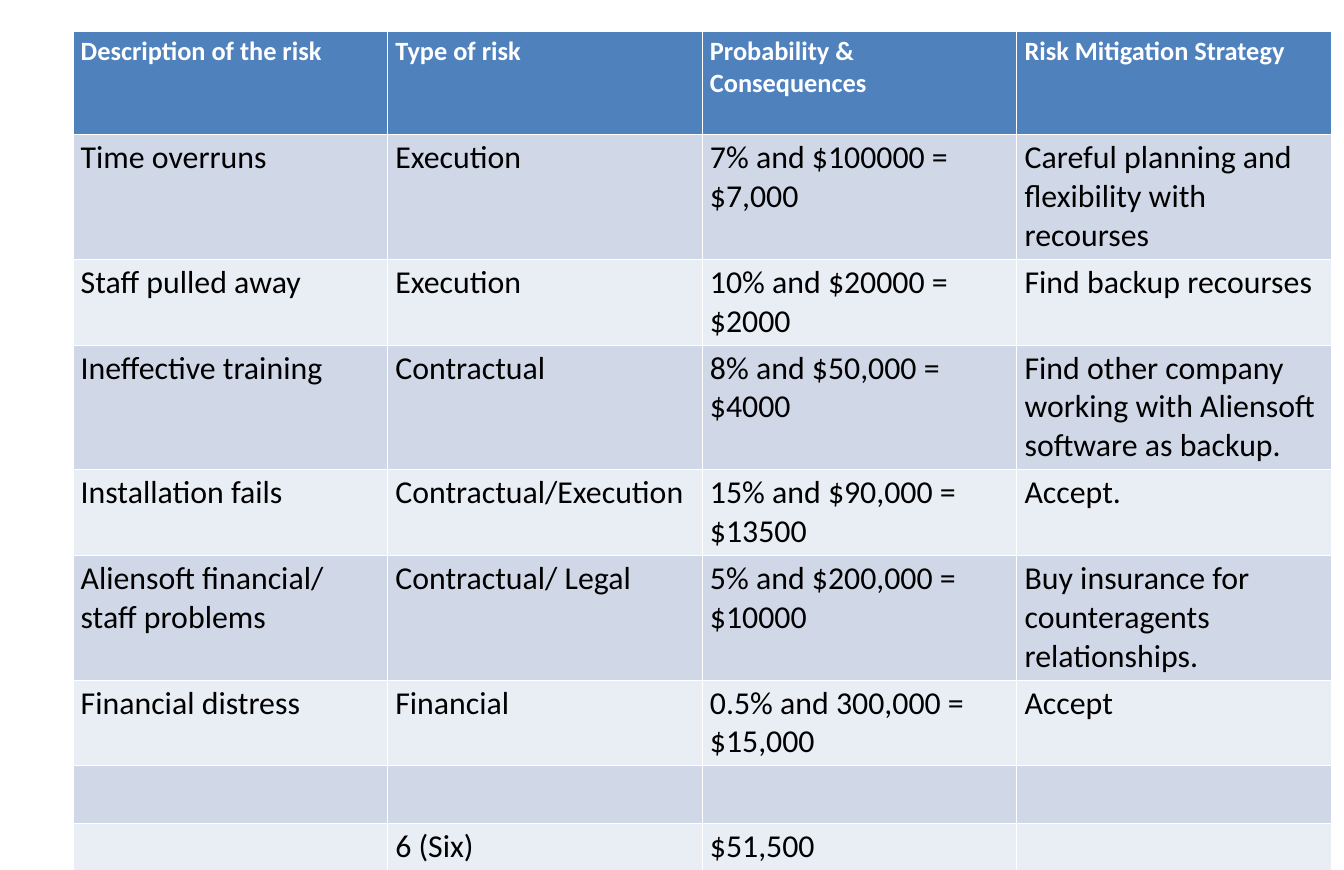
"""Build the risk assessment table slide."""
from typing import NamedTuple

import lxml.etree
import pptx
import pptx.dml.color
import pptx.oxml.ns
import pptx.table
import pptx.util

Inches = pptx.util.Inches
WHITE = pptx.dml.color.RGBColor(0xFF, 0xFF, 0xFF)
BLACK = pptx.dml.color.RGBColor(0x00, 0x00, 0x00)
BLUE = pptx.dml.color.RGBColor(0x4F, 0x81, 0xBD)
DARK_BAND = pptx.dml.color.RGBColor(0xD0, 0xD8, 0xE8)
LIGHT_BAND = pptx.dml.color.RGBColor(0xE9, 0xED, 0xF4)
FONT = "Calibri"
COLUMN_WIDTH = 3.98
THIN, THICK = 0.45, 1.47


class Risk(NamedTuple):
    height: float
    description: str = ""
    kind: str = ""
    probability: str = ""
    strategy: str = ""


class CellStyle(NamedTuple):
    fill: pptx.dml.color.RGBColor
    color: pptx.dml.color.RGBColor
    size: int
    bold: bool
    top: float = THIN
    bottom: float = THIN


RISKS = [
    Risk(1.3, "Description of the risk", "Type of risk",
         "Probability & Consequences", "Risk Mitigation Strategy"),
    Risk(1.55, "Time overruns", "Execution", "7% and $100000 = $7,000",
         "Careful planning and flexibility with recourses"),
    Risk(1.07, "Staff pulled away", "Execution", "10% and $20000 = $2000",
         "Find backup recourses"),
    Risk(1.55, "Ineffective training", "Contractual", "8% and $50,000 = $4000",
         "Find other company working with Aliensoft software as backup."),
    Risk(1.07, "Installation fails", "Contractual/Execution",
         "15% and $90,000 = $13500", "Accept."),
    Risk(1.55, "Aliensoft financial/ staff problems", "Contractual/ Legal",
         "5% and $200,000 = $10000",
         "Buy insurance for counteragents relationships."),
    Risk(1.07, "Financial distress", "Financial",
         "0.5% and 300,000 =\n$15,000", "Accept"),
    Risk(0.73),
    Risk(0.58, kind="6 (Six)", probability="$51,500"),
]


def row_style(row: int) -> CellStyle:
    if row == 0:
        return CellStyle(BLUE, WHITE, 24, True, bottom=THICK)
    band = DARK_BAND if row % 2 else LIGHT_BAND
    return CellStyle(band, BLACK, 29, False, top=THICK if row == 1 else THIN)


def add_borders(cell: pptx.table._Cell, style: CellStyle) -> None:
    qn = pptx.oxml.ns.qn
    tc_pr = cell._tc.get_or_add_tcPr()
    widths = {"a:lnL": THIN, "a:lnR": THIN, "a:lnT": style.top, "a:lnB": style.bottom}
    for i, (tag, width) in enumerate(widths.items()):
        ln = lxml.etree.Element(qn(tag), w=str(int(pptx.util.Pt(width))))
        fill = lxml.etree.SubElement(ln, qn("a:solidFill"))
        lxml.etree.SubElement(fill, qn("a:srgbClr"), val=str(WHITE))
        tc_pr.insert(i, ln)


def format_cell(cell: pptx.table._Cell, text: str, style: CellStyle) -> None:
    cell.fill.solid()
    cell.fill.fore_color.rgb = style.fill
    add_borders(cell, style)
    if not text:
        return
    cell.text_frame.text = text
    for p in cell.text_frame.paragraphs:
        for r in p.runs:
            r.font.name = FONT
            r.font.size = pptx.util.Pt(style.size)
            r.font.bold = style.bold
            r.font.color.rgb = style.color


def main() -> None:
    prs = pptx.Presentation()
    prs.slide_width, prs.slide_height = Inches(17), Inches(11)
    s = prs.slides.add_slide(prs.slide_layouts[6])
    columns = len(Risk._fields) - 1
    height = sum(risk.height for risk in RISKS)
    table = s.shapes.add_table(
        len(RISKS), columns, Inches(0.92), Inches(0.4),
        Inches(columns * COLUMN_WIDTH), Inches(height)).table
    table.horz_banding = False
    for column in table.columns:
        column.width = Inches(COLUMN_WIDTH)
    for i, risk in enumerate(RISKS):
        table.rows[i].height = Inches(risk.height)
        for cell, text in zip(table.rows[i].cells, risk[1:]):
            format_cell(cell, text, row_style(i))
    prs.save("out.pptx")


if __name__ == "__main__":
    main()
